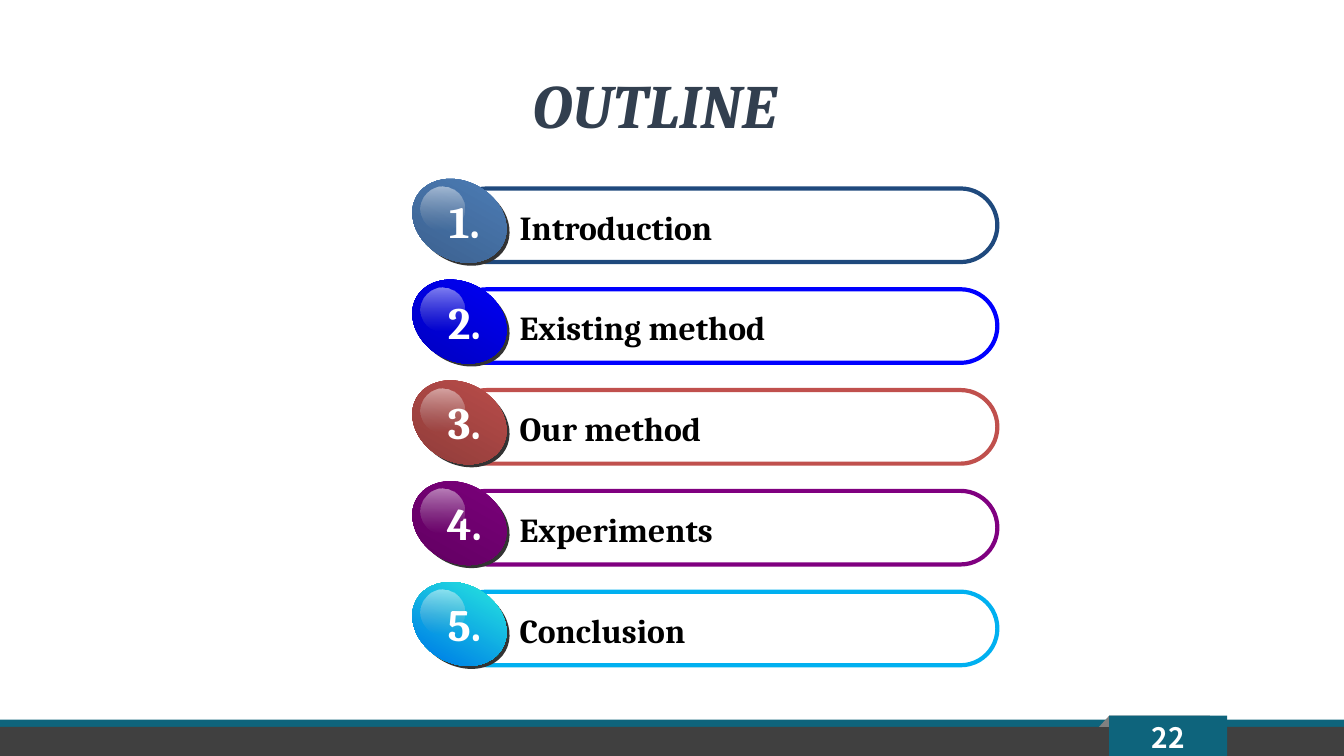
"""Builds the outline slide: five numbered pills under a title, with a footer bar."""
from lxml import etree
from pptx import Presentation
from pptx import util as u
from pptx.dml.color import RGBColor
from pptx.enum import shapes, text
from pptx.oxml.ns import qn

THEME = {
    "heading_font": "Cambria", "number_font": "Noto Sans CJK SC",
    "title_size": 44, "label_size": 24, "ball_size": 32, "page_size": 20,
    "title": "323F4F", "label": "000000", "light": "FFFFFF",
    "teal": "0E647C", "dark": "404040", "fold": "808080", "ball_shadow": "333333",
    "gloss": [(0, "FFFFFF", 50), (100, "B6B6B6", 0)],
}
ITEMS = [
    ("Introduction", 2.45, "1F497D", [(0, "4F81BD", 100), (100, "395C87", 100)]),
    ("Existing method", 3.08, "0000FF", [(0, "0000FF", 100), (100, "0000B6", 100)]),
    ("Our method", 2.31, "C0504D", [(0, "C0504D", 100), (100, "893937", 100)]),
    ("Experiments", 2.44, "800080", [(0, "800080", 100), (100, "5C005C", 100)]),
    ("Conclusion", 2.17, "00B0F0", [(0, "03D4A8", 100), (25, "21D6E0", 100),
                                    (75, "0087E6", 100), (100, "005CBF", 100)]),
]
SHAPE = shapes.MSO_SHAPE


def add_filled(container, preset, box, fill, rotation=0):
    """Add an unlined preset shape with a solid colour, a list of gradient stops or no fill."""
    shape = container.add_shape(preset, *map(u.Inches, box))
    shape.shadow.inherit = False
    shape.line.fill.background()
    shape.rotation = rotation
    if fill is None:
        shape.fill.background()
    elif isinstance(fill, str):
        shape.fill.solid()
        shape.fill.fore_color.rgb = RGBColor.from_string(fill)
    else:
        shape.fill.gradient()
        shape.fill.gradient_angle = 270
        stops = shape._element.spPr.find(qn("a:gradFill")).find(qn("a:gsLst"))
        for stop in list(stops):
            stops.remove(stop)
        for position, colour, opacity in fill:
            stop = etree.SubElement(stops, qn("a:gs"), pos=str(position * 1000))
            rgb = etree.SubElement(stop, qn("a:srgbClr"), val=colour)
            if opacity < 100:
                etree.SubElement(rgb, qn("a:alpha"), val=str(opacity * 1000))
    return shape


def write(shape, content, size, colour, font="heading_font", align=text.PP_ALIGN.CENTER,
          wrap=False, anchor=text.MSO_ANCHOR.TOP, fit=text.MSO_AUTO_SIZE.SHAPE_TO_FIT_TEXT):
    """Fill a shape with one bold paragraph and return that paragraph."""
    frame = shape.text_frame
    frame.text = content
    frame.word_wrap = wrap
    frame.auto_size = fit
    frame.vertical_anchor = anchor
    paragraph = frame.paragraphs[0]
    paragraph.alignment = align
    run_font = paragraph.runs[0].font
    run_font.name = THEME[font]
    run_font.size = u.Pt(THEME[size])
    run_font.bold = True
    run_font.color.rgb = RGBColor.from_string(THEME[colour])
    return paragraph


presentation = Presentation()
presentation.slide_width = u.Inches(13.34)
presentation.slide_height = u.Inches(7.5)
slide = presentation.slides.add_slide(presentation.slide_layouts[5])

add_filled(slide.shapes, SHAPE.RECTANGLE, (0, 7.14, 13.34, 0.39), THEME["teal"])
add_filled(slide.shapes, SHAPE.RECTANGLE, (0, 7.21, 13.34, 0.32), THEME["dark"])

builder = slide.shapes.build_freeform(u.Inches(11.01), u.Inches(7.1))
builder.add_line_segments([(u.Inches(x), u.Inches(y)) for x, y in
                           [(12.01, 7.1), (12.02, 7.22), (10.91, 7.21)]], close=True)
fold = builder.convert_to_shape()
fold.shadow.inherit = False
fold.fill.solid()
fold.fill.fore_color.rgb = RGBColor.from_string(THEME["fold"])
fold.line.fill.background()

add_filled(slide.shapes, SHAPE.RECTANGLE, (11.01, 7.1, 1.17, 0.43), THEME["teal"])
page_number = slide.shapes.add_textbox(*map(u.Inches, (11.16, 7.1, 0.87, 0.43)))
write(page_number, "22", "page_size", "light", font="number_font", wrap=True,
      anchor=text.MSO_ANCHOR.MIDDLE, fit=text.MSO_AUTO_SIZE.NONE)

title = slide.shapes.title
title.left, title.top, title.width, title.height = map(u.Inches, (4.73, 0.47, 3.54, 0.9))
heading = write(title, "OUTLINE", "title_size", "title", wrap=True)
heading.line_spacing = 1.2
heading.runs[0].font.italic = True

for index, (label, label_width, outline, ball_stops) in enumerate(ITEMS):
    top = 1.8 + index
    group = slide.shapes.add_group_shape().shapes

    pill = add_filled(group, SHAPE.ROUNDED_RECTANGLE, (4.47, top + 0.07, 5.43, 0.73), None)
    pill.adjustments[0] = 0.5
    pill.line.color.rgb = RGBColor.from_string(outline)
    pill.line.width = u.Pt(3)

    add_filled(group, SHAPE.OVAL, (4.1, top + 0.03, 0.98, 0.78), THEME["ball_shadow"], 29.3)
    add_filled(group, SHAPE.OVAL, (4.07, top, 0.98, 0.78), ball_stops, 29.3)
    add_filled(group, SHAPE.OVAL, (4.17, top + 0.05, 0.44, 0.44), THEME["gloss"])

    label_box = group.add_textbox(*map(u.Inches, (5.06, top + 0.2, label_width, 0.51)))
    write(label_box, label, "label_size", "label", align=text.PP_ALIGN.LEFT)
    number_box = group.add_textbox(*map(u.Inches, (4.32, top + 0.07, 0.58, 0.64)))
    write(number_box, f"{index + 1}.", "ball_size", "light")

presentation.save("out.pptx")
